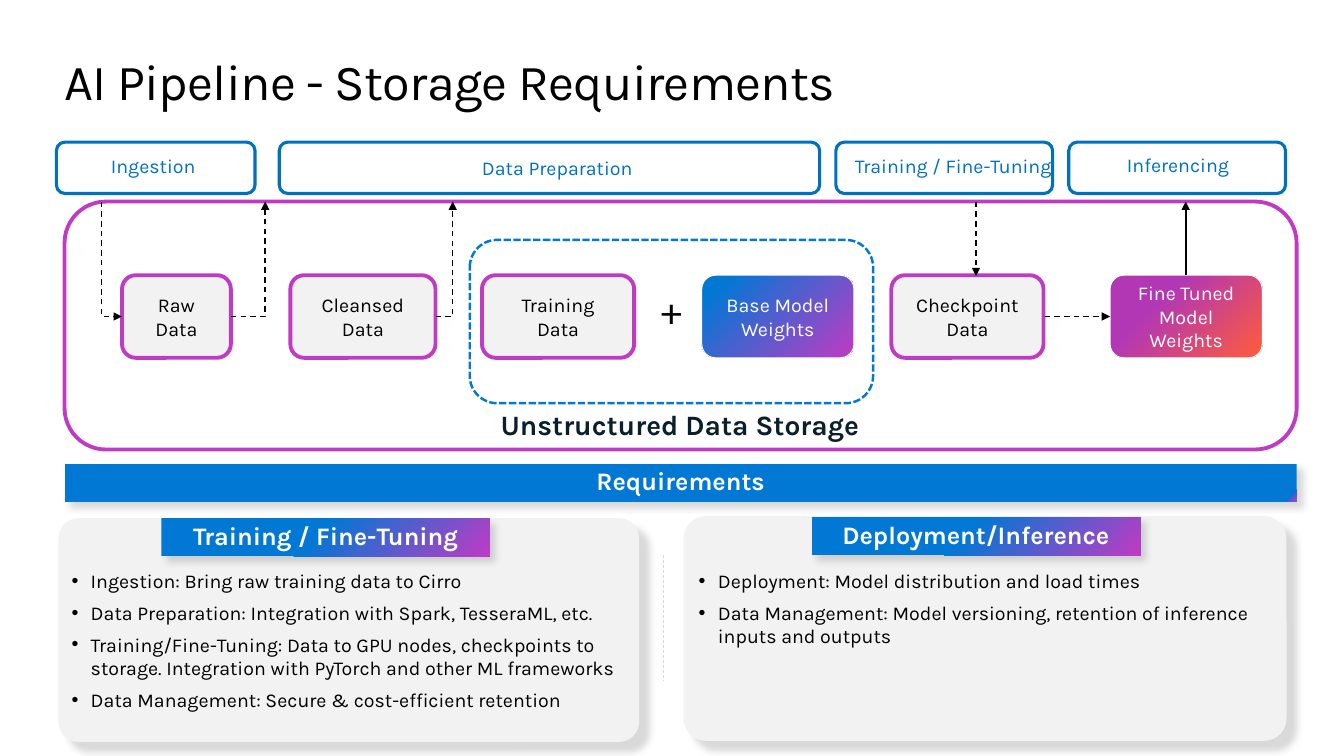
"""Builds the AI pipeline storage requirements slide."""
from lxml import etree
from pptx import Presentation
from pptx.dml.color import RGBColor
from pptx.enum.dml import MSO_LINE as Dash
from pptx.enum.shapes import MSO_CONNECTOR as Link, MSO_SHAPE as Form
from pptx.enum.text import MSO_ANCHOR as Anchor, MSO_AUTO_SIZE as Fit, PP_ALIGN as Align
from pptx.oxml import parse_xml
from pptx.oxml.ns import nsdecls, qn
from pptx.util import Inches, Pt

rgb = RGBColor.from_string
BLACK, WHITE, GREY = "000000", "FFFFFF", "F2F2F2"
BLUE, LABEL_BLUE, PURPLE = "0078D4", "0070C0", "C03BC4"

deck = Presentation()
deck.slide_width, deck.slide_height = Inches(13.33), Inches(7.5)
page = deck.slides.add_slide(deck.slide_layouts[3])
title, *lists = page.placeholders


def add_box(form, spot, fill=None, line=None, weight=1, shadow=None):
    """Draw a shape; a tuple fill is a corner gradient, shadow is its distance."""
    box = page.shapes.add_shape(form, *map(Inches, spot))
    box.shadow.inherit = False
    box.fill.background()
    if isinstance(fill, tuple):
        corner, rest, stop = fill
        gradient = parse_xml(
            f'<a:gradFill {nsdecls("a")} rotWithShape="1"><a:gsLst>'
            f'<a:gs pos="0"><a:srgbClr val="{corner}"/></a:gs>'
            f'<a:gs pos="{stop * 1000}"><a:srgbClr val="{rest}"/></a:gs></a:gsLst>'
            '<a:path path="circle"><a:fillToRect l="100000" t="100000"/></a:path>'
            '</a:gradFill>')
        blank = box._element.spPr.find(qn("a:noFill"))
        blank.getparent().replace(blank, gradient)
    elif fill:
        box.fill.solid()
        box.fill.fore_color.rgb = rgb(fill)
    if line:
        box.line.color.rgb = rgb(line)
        box.line.width = Pt(weight)
    else:
        box.line.fill.background()
    if shadow:
        box._element.spPr.find(qn("a:effectLst")).append(parse_xml(
            f'<a:outerShdw {nsdecls("a")} blurRad="{Pt(5)}" dist="{Pt(shadow)}" '
            'dir="2700000" algn="tl" rotWithShape="0">'
            '<a:srgbClr val="454142"><a:alpha val="20000"/></a:srgbClr></a:outerShdw>'))
    return box


def write(box, lines, size, color, bold=False, align=Align.CENTER,
          anchor=Anchor.TOP, insets=(0, 0, 0, 0), bullets=False):
    """Fill a shape with formatted paragraphs."""
    frame = box.text_frame
    sides = ("margin_left", "margin_top", "margin_right", "margin_bottom")
    settings = dict(zip(sides, map(Inches, insets)))
    settings |= {"word_wrap": True, "auto_size": Fit.NONE, "vertical_anchor": anchor}
    for name, value in settings.items():
        setattr(frame, name, value)
    for index, line in enumerate(lines):
        para = frame.add_paragraph() if index else frame.paragraphs[0]
        para.alignment = align
        para.space_before = Pt(6 if bullets and index else 0)
        if bullets:
            marks = para._p.get_or_add_pPr()
            marks.set("marL", str(Inches(0.19)))
            marks.set("indent", str(Inches(-0.19)))
            etree.SubElement(marks, qn("a:buChar")).set("char", "•")
        span = para.add_run()
        span.text = line
        look = {"name": "Karla", "size": Pt(size), "bold": bold}
        for name, value in look.items():
            setattr(span.font, name, value)
        span.font.color.rgb = rgb(color)


for spot, corner in (((6.78, 5.12, 5.98, 2.23), 0.1), ((0.58, 5.14, 5.76, 2.22), 0.09)):
    card = add_box(Form.ROUNDED_RECTANGLE, spot, GREY, shadow=10)
    card.adjustments[0] = corner

phases = [
    ("Ingestion", 0.56, 1.97, 1.1, 1.53, Align.LEFT),
    ("Data Preparation", 2.77, 5.36, 4.78, 1.55, Align.LEFT),
    ("Training / Fine-Tuning", 8.29, 2.15, 8.48, 1.53, Align.LEFT),
    ("Inferencing", 10.6, 2.15, 10.7, 1.52, Align.CENTER),
]
for name, left, width, label_left, label_top, align in phases:
    add_box(Form.ROUNDED_RECTANGLE, (left, 1.41, width, 0.51), None, LABEL_BLUE, 2.25)
    label = page.shapes.add_textbox(*map(Inches, (label_left, label_top, 1.97, 0.24)))
    write(label, [name], 14, LABEL_BLUE, align=align)

add_box(Form.ROUNDED_RECTANGLE, (0.64, 2, 12.22, 2.46), None, PURPLE, 2.75)
group = add_box(Form.ROUNDED_RECTANGLE, (4.66, 2.38, 4, 1.62), None, BLUE, 1.75)
group.line.dash_style = Dash.SQUARE_DOT
group._element.spPr.find(".//" + qn("a:prstDash")).set("val", "sysDash")

stages = [
    ("Raw Data", 1.21, 1.08, GREY),
    ("Cleansed Data", 2.88, 1.44, GREY),
    ("Training Data", 4.78, 1.51, GREY),
    ("Base Model Weights", 6.96, 1.51, (PURPLE, BLUE, 89)),
    ("Checkpoint Data", 8.84, 1.51, GREY),
    ("Fine Tuned Model Weights", 11.01, 1.51, ("FF5C39", "B237B5", 68)),
]
for name, left, width, fill in stages:
    outline, weight, ink = (PURPLE, 2.75, BLACK) if fill == GREY else (WHITE, 0.75, WHITE)
    stage = add_box(Form.ROUNDED_RECTANGLE, (left, 2.73, width, 0.82), fill, outline, weight)
    write(stage, [name], 14, ink, anchor=Anchor.MIDDLE, insets=(0.2, 0.16, 0.2, 0.16))

captions = [
    ("Unstructured Data Storage", (4.43, 4.04, 4.63, 0.34), 20, "091F2C", True),
    ("+", (6.47, 2.83, 0.38, 0.47), 28, BLACK, False),
]
for text, spot, size, ink, bold in captions:
    write(page.shapes.add_textbox(*map(Inches, spot)), [text], size, ink, bold)

routes = [
    ((1.68, 2.47, 0.54, 2.67), "bentConnector2", 270, BLACK, 1, Dash.DASH, True),
    ((2.29, 3.14, 2.63, 2), "bentConnector2", 0, BLACK, 1, Dash.DASH, True),
    ((4.32, 3.14, 4.49, 2), "bentConnector2", 0, BLACK, 1, Dash.DASH, True),
    ((10.36, 3.14, 11.01, 3.14), "line", 0, BLACK, 1, Dash.DASH, True),
    ((9.68, 2, 9.68, 2.74), "line", 0, BLACK, 1, Dash.DASH, True),
    ((11.76, 2.73, 11.76, 2), "line", 0, BLACK, 1.25, Dash.SOLID, True),
    ((6.58, 5.51, 6.58, 6.76), "line", 0, "D9D9D9", 0.5, Dash.DASH, False),
]
for ends, geometry, turn, ink, weight, dash, arrow in routes:
    route = page.shapes.add_connector(Link.STRAIGHT, *map(Inches, ends))
    route.line.color.rgb = rgb(ink)
    route.line.width = Pt(weight)
    route.line.dash_style = dash
    drawing = route._element.spPr
    drawing.find(qn("a:prstGeom")).set("prst", geometry)
    drawing.find(qn("a:xfrm")).set("rot", str(turn * 60000))
    if arrow:
        etree.SubElement(drawing.find(qn("a:ln")), qn("a:tailEnd")).set("type", "triangle")
    etree.SubElement(drawing, qn("a:effectLst"))

banners = [
    ("Requirements", (0.64, 4.6, 12.22, 0.38), 1),
    ("Training / Fine-Tuning", (1.6, 5.14, 3.26, 0.38), 54),
    ("Deployment/Inference", (8.05, 5.13, 3.26, 0.38), 54),
]
for text, spot, stop in banners:
    banner = add_box(Form.RECTANGLE, spot, (PURPLE, BLUE, stop), shadow=5)
    write(banner, [text], 18, WHITE, True, anchor=Anchor.MIDDLE,
          insets=(0.15, 0.02, 0.15, 0.06))

training_needs = [
    "Ingestion: Bring raw training data to Cirro",
    "Data Preparation: Integration with Spark, TesseraML, etc.",
    "Training/Fine-Tuning: Data to GPU nodes, checkpoints to storage. "
    "Integration with PyTorch and other ML frameworks",
    "Data Management: Secure & cost-efficient retention",
]
deployment_needs = [
    "Deployment: Model distribution and load times",
    "Data Management: Model versioning, retention of inference inputs and outputs",
]
holders = [
    (title, ["AI Pipeline - Storage Requirements"], (0.64, 0.5, 12.05, 0.61), 36),
    (lists[0], training_needs, (0.71, 5.64, 5.76, 1.43), 14),
    (lists[1], deployment_needs, (6.93, 5.64, 5.85, 0.79), 14),
]
for holder, lines, spot, size in holders:
    for side, value in zip(("left", "top", "width", "height"), spot):
        setattr(holder, side, Inches(value))
    write(holder, lines, size, BLACK, align=Align.LEFT, bullets=holder is not title)
    page.shapes._spTree.append(holder._element)
title.text_frame.paragraphs[0].runs[0].font._element.set("spc", "-50")

deck.save("out.pptx")
